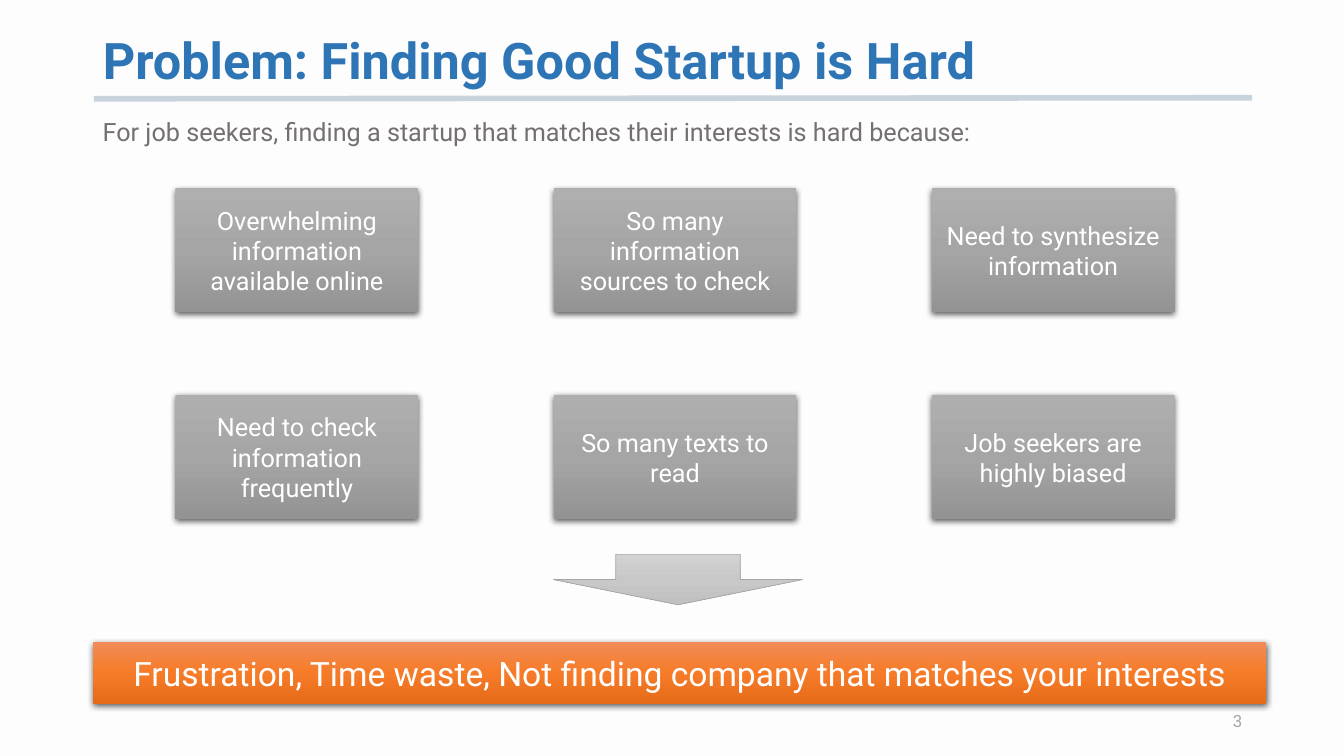
from dataclasses import dataclass

from lxml.etree import SubElement
from pptx import Presentation
from pptx.dml.color import RGBColor
from pptx.enum.shapes import MSO_CONNECTOR, MSO_SHAPE
from pptx.enum.text import MSO_ANCHOR as Anchor, MSO_AUTO_SIZE as AutoSize, PP_ALIGN as Align
from pptx.oxml.ns import qn
from pptx.util import Inches, Pt


@dataclass(frozen=True)
class Theme:
    font: str = "Roboto"
    background: str = "FDFDFD"
    title: str = "2E75B6"
    rule: str = "507392"
    intro: str = "757070"
    number: str = "A6A4A4"
    light: str = "FFFFFF"
    arrow_line: str = "A5A5A5"
    shadow: str = "000000"
    gray: tuple[str, ...] = ("AFAFAF", "A5A5A5", "939393")
    orange: tuple[str, ...] = ("F18C57", "F67B28", "E56C19")
    silver: tuple[str, ...] = ("D2D2D2", "C8C8C8", "C0C0C0")
    title_size: int = 36
    banner_size: int = 24
    body_size: int = 18
    number_size: int = 12


@dataclass(frozen=True)
class Box:
    left: float
    top: float
    width: float
    height: float

    def lengths(self) -> tuple:
        return tuple(Inches(n) for n in (self.left, self.top, self.width, self.height))


@dataclass(frozen=True)
class Card:
    text: str
    box: Box
    colors: tuple[str, ...]
    size: int


THEME = Theme()
REASONS = (
    ("Overwhelming information available online", "So many information sources to check",
     "Need to synthesize information"),
    ("Need to check information frequently", "So many texts to read",
     "Job seekers are highly biased"),
)
GRID_LEFT, GRID_TOP, COLUMN_STEP, ROW_STEP = 1.74, 1.87, 3.75, 2.05
CARD_WIDTH, CARD_HEIGHT = 2.41, 1.23


def write_text(frame, text: str, size: int, color: str, align=Align.LEFT,
               anchor=Anchor.MIDDLE, bold: bool = False):
    frame.word_wrap = True
    frame.auto_size = AutoSize.NONE
    frame.vertical_anchor = anchor
    paragraph = frame.paragraphs[0]
    paragraph.alignment = align
    run = paragraph.add_run()
    run.text = text
    run.font.name = THEME.font
    run.font.size = Pt(size)
    run.font.bold = bold
    run.font.color.rgb = RGBColor.from_string(color)
    return paragraph


def fill_gradient(shape, colors: tuple[str, ...]) -> None:
    """Fill from top to bottom with evenly spaced stops."""
    shape.fill.gradient()
    shape.fill.gradient_angle = 270
    stops = shape._element.spPr.find(qn("a:gradFill")).find(qn("a:gsLst"))
    stops.clear()
    for index, color in enumerate(colors):
        position = 100000 * index // (len(colors) - 1)
        stop = SubElement(stops, qn("a:gs"), pos=str(position))
        SubElement(stop, qn("a:srgbClr"), val=color)


def add_drop_shadow(shape) -> None:
    effects = shape._element.spPr.find(qn("a:effectLst"))
    shadow = SubElement(effects, qn("a:outerShdw"), blurRad=str(Pt(4.5)), dist=str(Pt(1.5)),
                        dir="5400000", algn="ctr", rotWithShape="0")
    color = SubElement(shadow, qn("a:srgbClr"), val=THEME.shadow)
    SubElement(color, qn("a:alpha"), val="63000")


def add_gradient_shape(slide, kind, box: Box, colors: tuple[str, ...]):
    shape = slide.shapes.add_shape(kind, *box.lengths())
    shape.shadow.inherit = False
    fill_gradient(shape, colors)
    return shape


def add_card(slide, card: Card) -> None:
    shape = add_gradient_shape(slide, MSO_SHAPE.RECTANGLE, card.box, card.colors)
    shape.line.fill.background()
    add_drop_shadow(shape)
    write_text(shape.text_frame, card.text, card.size, THEME.light, Align.CENTER)


def add_arrow(slide, box: Box) -> None:
    arrow = add_gradient_shape(slide, MSO_SHAPE.DOWN_ARROW, box, THEME.silver)
    arrow.line.color.rgb = RGBColor.from_string(THEME.arrow_line)
    arrow.line.width = Pt(0.5)


def add_title_rule(slide) -> None:
    rule = slide.shapes.add_connector(MSO_CONNECTOR.STRAIGHT, Inches(0.93), Inches(0.98),
                                      Inches(12.42), Inches(0.97))
    rule.line.color.rgb = RGBColor.from_string(THEME.rule)
    rule.line.width = Pt(4)
    properties = rule._element.spPr
    color = next(properties.iter(qn("a:srgbClr")))
    SubElement(color, qn("a:alpha"), val="30000")
    SubElement(properties, qn("a:effectLst"))


def add_title(slide, text: str) -> None:
    title = slide.shapes.title
    title.left, title.top, title.width, title.height = Box(0.92, 0.28, 11.5, 0.69).lengths()
    paragraph = write_text(title.text_frame, text, THEME.title_size, THEME.title, bold=True)
    paragraph.line_spacing = 0.9


def add_label(slide, text: str, box: Box, size: int, color: str, **layout) -> None:
    label = slide.shapes.add_textbox(*box.lengths())
    write_text(label.text_frame, text, size, color, **layout)


def main() -> None:
    presentation = Presentation()
    presentation.slide_width = Inches(13.33)
    presentation.slide_height = Inches(7.5)
    slide = presentation.slides.add_slide(presentation.slide_layouts.get_by_name("Title Only"))
    slide.background.fill.solid()
    slide.background.fill.fore_color.rgb = RGBColor.from_string(THEME.background)

    add_title_rule(slide)
    add_title(slide, "Problem: Finding Good Startup is Hard")
    add_label(slide, "For job seekers, finding a startup that matches their interests is hard because:",
              Box(0.92, 1.1, 9.99, 0.4), THEME.body_size, THEME.intro, anchor=Anchor.TOP)

    for row, reasons in enumerate(REASONS):
        for column, reason in enumerate(reasons):
            box = Box(GRID_LEFT + column * COLUMN_STEP, GRID_TOP + row * ROW_STEP,
                      CARD_WIDTH, CARD_HEIGHT)
            add_card(slide, Card(reason, box, THEME.gray, THEME.body_size))

    add_card(slide, Card("Frustration, Time waste, Not finding company that matches your interests",
                         Box(0.92, 6.37, 11.64, 0.61), THEME.orange, THEME.banner_size))
    add_arrow(slide, Box(5.49, 5.5, 2.47, 0.5))
    add_label(slide, "3", Box(9.42, 6.95, 3, 0.4), THEME.number_size, THEME.number,
              align=Align.RIGHT)
    presentation.save("out.pptx")


if __name__ == "__main__":
    main()
